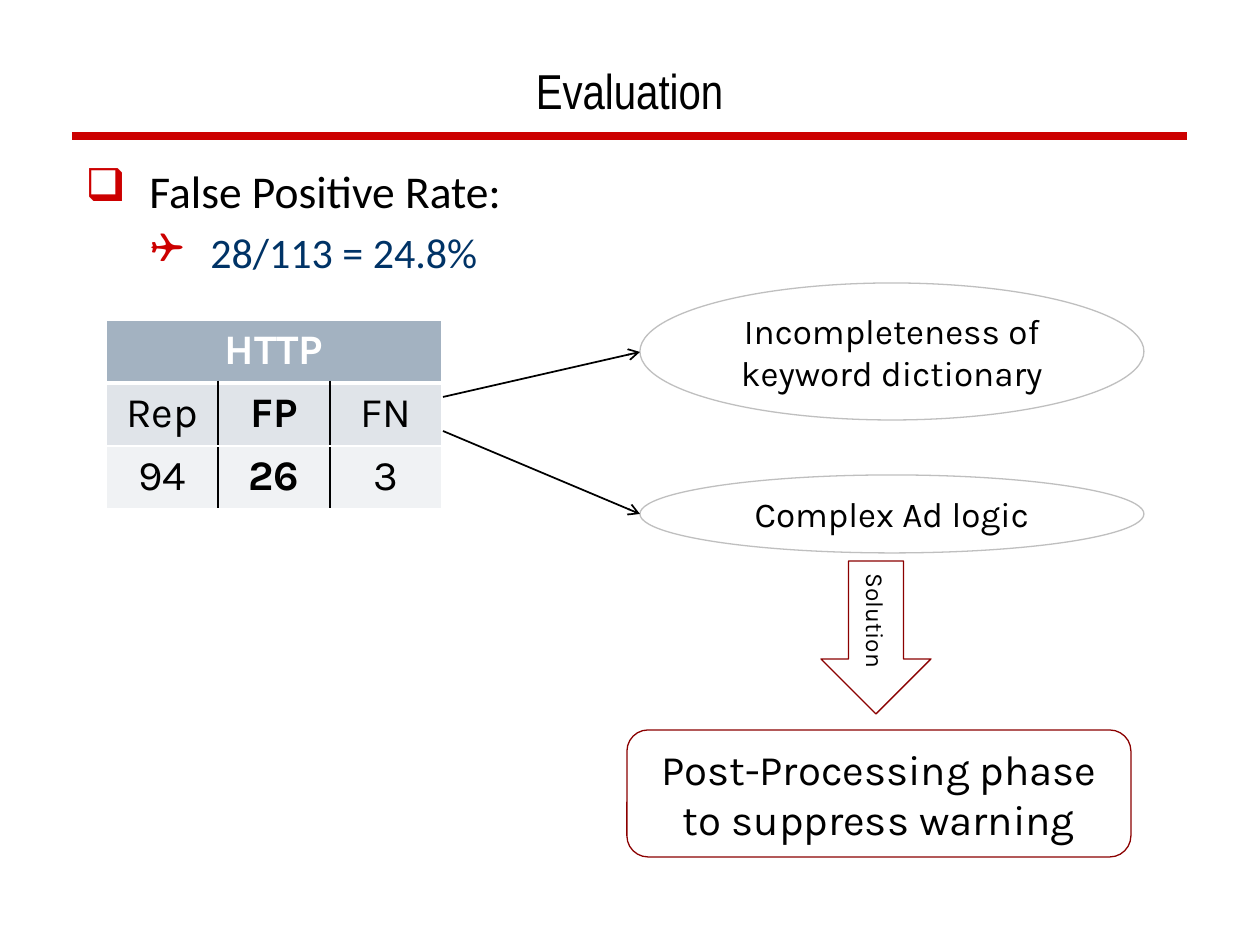
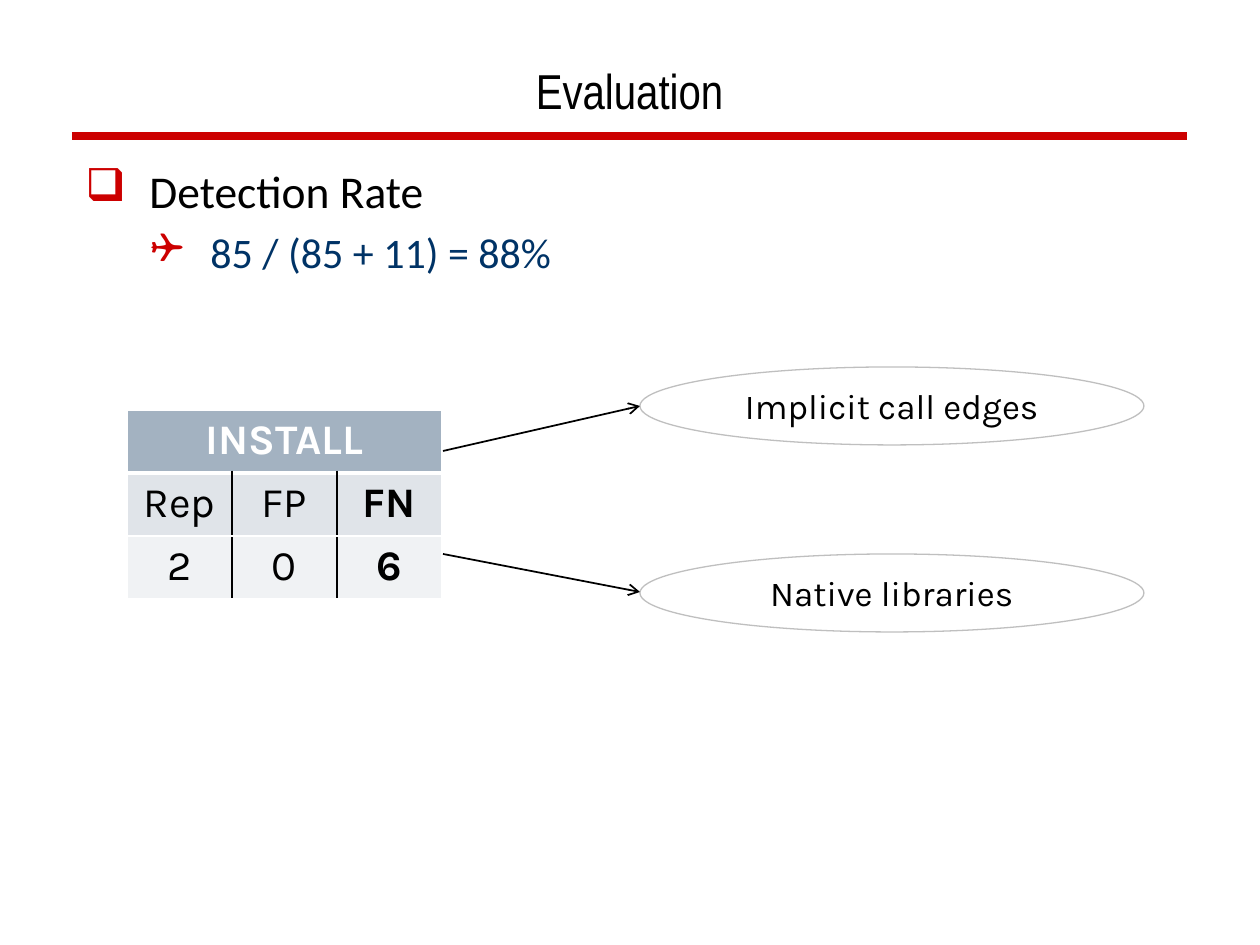
from lxml import etree
from pptx import Presentation
from pptx.dml.color import RGBColor
from pptx.enum.shapes import MSO_CONNECTOR, MSO_SHAPE
from pptx.enum.text import MSO_ANCHOR, MSO_AUTO_SIZE, PP_ALIGN
from pptx.oxml.ns import qn
from pptx.util import Inches, Pt

PIXEL = 7257  # EMU in one pixel at 126 pixels to the inch
LEFT, CENTER = PP_ALIGN.LEFT, PP_ALIGN.CENTER
TOP, MIDDLE, BOTTOM = MSO_ANCHOR.TOP, MSO_ANCHOR.MIDDLE, MSO_ANCHOR.BOTTOM
OVAL, ROUNDED, DOWN = MSO_SHAPE.OVAL, MSO_SHAPE.ROUNDED_RECTANGLE, MSO_SHAPE.DOWN_ARROW
STRAIGHT, NO_AUTOFIT = MSO_CONNECTOR.STRAIGHT, MSO_AUTO_SIZE.NONE

BLACK, WHITE, RED, NAVY = "000000", "FFFFFF", "CC0000", "003366"
DARK_RED, GRAY = "8B0000", "BFBFBF"
ROW_FILLS = ["A3B2C1", "E0E4E9", "F0F2F4"]
BODY_STYLES = [  # size, colour, bullet, left indent, hanging indent
    (26, BLACK, "\u2751", 64, 64),
    (24, NAVY, "\u2708", 125, 60),
]

# Boxes: shape, left, top, width, height, line colour, size, lines of text
# Arrows: start and end points
SLIDES = [
    {
        "body": ["False Positive Rate:", "28/113 = 24.8%"],
        "table": [["HTTP", "", ""], ["Rep", "FP", "FN"], ["94", "26", "3"]],
        "place": (106, 320, 112),
        "bold_column": 1,
        "boxes": [
            (OVAL, 640, 283, 504, 137, GRAY, 20, ["Incompleteness of keyword dictionary"]),
            (OVAL, 640, 475, 504, 78, GRAY, 20, ["Complex Ad logic"]),
            (ROUNDED, 627, 730, 504, 127, DARK_RED, 24,
             ["Post-Processing phase", "to suppress warning"]),
            (DOWN, 821, 561, 110, 153, DARK_RED, 14, ["Solution"]),
        ],
        "arrows": [(443, 397, 640, 352), (443, 431, 640, 514)],
    },
    {
        "body": ["Detection Rate", "85 / (85 + 11) = 88%"],
        "table": [["INSTALL", "", ""], ["Rep", "FP", "FN"], ["2", "0", "6"]],
        "place": (127, 410, 105),
        "bold_column": 2,
        "boxes": [
            (OVAL, 640, 367, 504, 78, GRAY, 20, ["Implicit call edges"]),
            (OVAL, 640, 554, 504, 78, GRAY, 20, ["Native libraries"]),
        ],
        "arrows": [(443, 451, 640, 406), (443, 554, 640, 592)],
    },
]


def write_text(para, text, font="Karla", size=24, color=BLACK, bold=False, align=CENTER):
    """Add one formatted run to a paragraph."""
    para.alignment = align
    span = para.add_run()
    span.text = text
    span.font.name = font
    span.font.size = Pt(size)
    span.font.bold = bold
    span.font.color.rgb = RGBColor.from_string(color)


def add_line(page, ends, color, width, arrow=False):
    """Draw a straight line between two points, with an arrowhead if asked."""
    line = page.shapes.add_connector(STRAIGHT, *(PIXEL * end for end in ends))
    line.line.color.rgb = RGBColor.from_string(color)
    line.line.width = Pt(width)
    if arrow:
        etree.SubElement(line.line._get_or_add_ln(), qn("a:tailEnd"), type="arrow")
    etree.SubElement(line._element.spPr, qn("a:effectLst"))


deck = Presentation()
deck.slide_width, deck.slide_height = Inches(10), Inches(7.5)

for content in SLIDES:
    page = deck.slides.add_slide(deck.slide_layouts[5])
    add_line(page, (72, 136, 1187, 136), RED, 4.5)

    title = page.shapes.title
    title.left, title.top = 73 * PIXEL, 21 * PIXEL
    title.width, title.height = 1113 * PIXEL, 105 * PIXEL
    title.text_frame.auto_size = NO_AUTOFIT
    title.text_frame.vertical_anchor = BOTTOM
    write_text(title.text_frame.paragraphs[0], "Evaluation", font="Arial Narrow", size=28)

    # Bulleted finding
    body = page.shapes.add_textbox(73 * PIXEL, 157 * PIXEL, 1113 * PIXEL, 147 * PIXEL).text_frame
    body.word_wrap = True
    body.vertical_anchor = TOP
    for level, text in enumerate(content["body"]):
        size, color, bullet, indent, hanging = BODY_STYLES[level]
        para = body.add_paragraph() if level else body.paragraphs[0]
        write_text(para, text, font="Calibri", size=size, color=color, align=LEFT)
        para.level = level
        para.space_before = Pt(size * 0.2)
        properties = para._p.get_or_add_pPr()
        properties.set("marL", str(indent * PIXEL))
        properties.set("indent", str(-hanging * PIXEL))
        bullet_color = etree.SubElement(properties, qn("a:buClr"))
        etree.SubElement(bullet_color, qn("a:srgbClr"), val=RED)
        etree.SubElement(properties, qn("a:buChar"), char=bullet)

    # Result table
    left, top, column_width = content["place"]
    table = page.shapes.add_table(
        3, 3, left * PIXEL, top * PIXEL, 3 * column_width * PIXEL, 183 * PIXEL).table
    for column in table.columns:
        column.width = column_width * PIXEL
    for row_index, row in enumerate(content["table"]):
        for column_index, text in enumerate(row):
            cell = table.cell(row_index, column_index)
            header = row_index == 0
            borders = {
                "a:lnL": (WHITE if header or column_index == 0 else BLACK, 1),
                "a:lnR": (WHITE if header or column_index == 2 else BLACK, 1),
                "a:lnT": (WHITE, 1),
                "a:lnB": (WHITE, 3 if header else 1),
            }
            for tag, (color, width) in borders.items():
                border = etree.SubElement(
                    cell._tc.get_or_add_tcPr(), qn(tag), w=str(Pt(width)))
                fill = etree.SubElement(border, qn("a:solidFill"))
                etree.SubElement(fill, qn("a:srgbClr"), val=color)
            cell.fill.solid()
            cell.fill.fore_color.rgb = RGBColor.from_string(ROW_FILLS[row_index])
            if text:
                write_text(cell.text_frame.paragraphs[0], text,
                           color=WHITE if header else BLACK,
                           bold=header or column_index == content["bold_column"])
    table.cell(0, 0).merge(table.cell(0, 2))

    # Causes and solution
    for kind, left, top, width, height, color, size, lines in content["boxes"]:
        box = page.shapes.add_shape(
            kind, left * PIXEL, top * PIXEL, width * PIXEL, height * PIXEL)
        box.shadow.inherit = False
        box.fill.background()
        box.line.color.rgb = RGBColor.from_string(color)
        box.line.width = Pt(0.75)
        frame = box.text_frame
        frame.word_wrap = True
        frame.vertical_anchor = MIDDLE
        if kind == DOWN:
            frame._txBody.bodyPr.set("vert", "eaVert")
        for index, text in enumerate(lines):
            para = frame.add_paragraph() if index else frame.paragraphs[0]
            write_text(para, text, size=size)

    for ends in content["arrows"]:
        add_line(page, ends, BLACK, 1, arrow=True)

deck.save("out.pptx")
